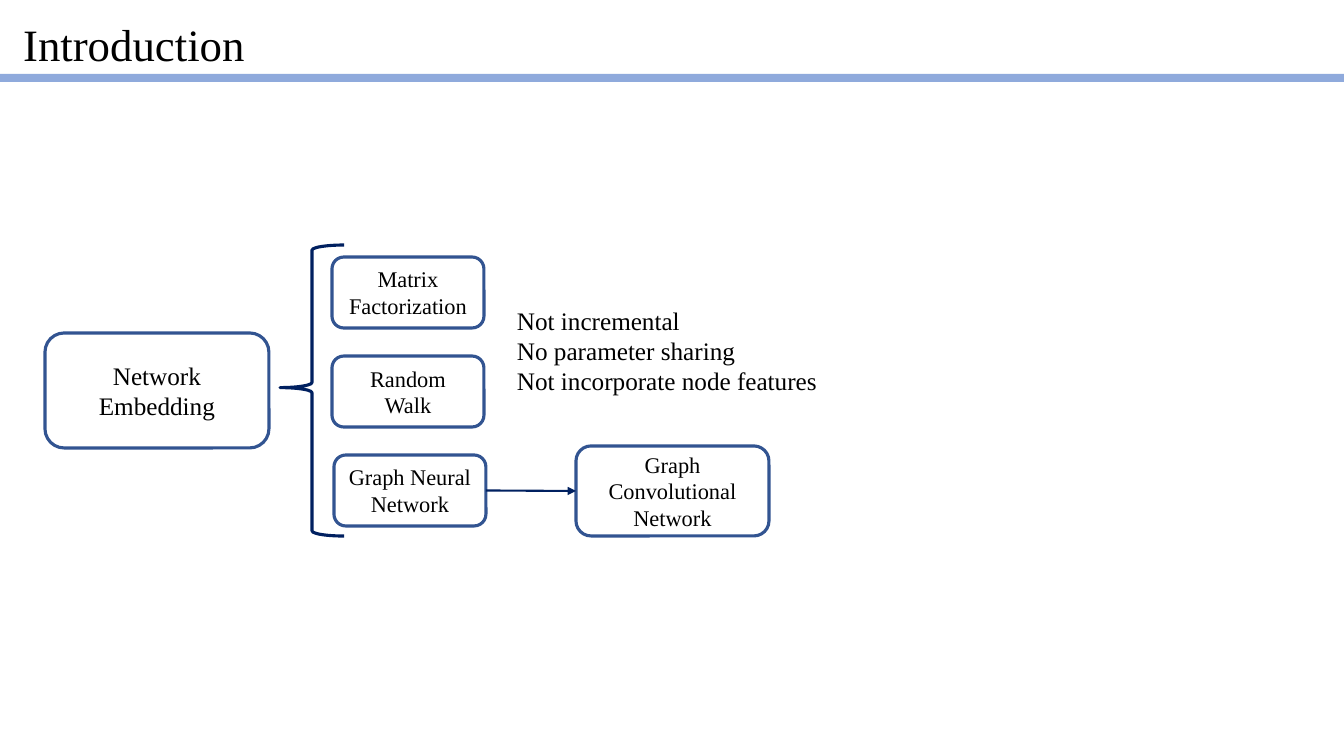
"""Build the Introduction slide: a tree of network embedding methods."""
from lxml import etree
from pptx import Presentation
from pptx.dml.color import RGBColor
from pptx.enum.shapes import MSO_CONNECTOR, MSO_SHAPE
from pptx.enum.text import MSO_ANCHOR, MSO_AUTO_SIZE, PP_ALIGN
from pptx.oxml.ns import qn
from pptx.util import Pt

PX = 914400 / 100.8
FONT = "Times New Roman"
COLORS = {"text": "000000", "rule": "8FAADC", "box": "325491", "link": "002060"}

TITLE = "Introduction"
ROOT = ("Network Embedding", 45, 333, 224, 115, 18)
METHODS = [("Matrix\vFactorization", 332), ("Random\vWalk", 332),
           ("Graph Neural Network", 334)]
METHOD_TOP, METHOD_STEP, METHOD_W, METHOD_H = 257, 99, 152, 71
CONVOLUTION = ("Graph Convolutional Network", 576, 446, 193, 90, 16)
DRAWBACKS = ["Not incremental", "No parameter sharing",
             "Not incorporate node features"]


def px(*values):
    return [round(v * PX) for v in values]


def rgb(name):
    return RGBColor.from_string(COLORS[name])


def style(p, size, align):
    p.alignment = align
    p.font.name = FONT
    p.font.size = Pt(size)
    p.font.color.rgb = rgb("text")


def set_line(line, name, width):
    line.color.rgb = rgb(name)
    line.width = Pt(width)


def add_outline(s, kind, box, name):
    sp = s.shapes.add_shape(kind, *px(*box))
    sp.shadow.inherit = False
    sp.fill.background()
    set_line(sp.line, name, 2.25)
    return sp


def add_node(s, text, x, y, w, h, size):
    sp = add_outline(s, MSO_SHAPE.ROUNDED_RECTANGLE, (x, y, w, h), "box")
    tf = sp.text_frame
    tf.word_wrap = True
    tf.vertical_anchor = MSO_ANCHOR.MIDDLE
    p = tf.paragraphs[0]
    p.text = text
    style(p, size, PP_ALIGN.CENTER)
    return sp


def add_arrow(s, start, end):
    line = s.shapes.add_connector(MSO_CONNECTOR.STRAIGHT, 0, 0, 0, 0)
    line.begin_connect(start, 3)
    line.end_connect(end, 1)
    set_line(line.line, "link", 1.5)
    etree.SubElement(line.line._get_or_add_ln(), qn("a:tailEnd"), type="triangle")
    etree.SubElement(line._element.spPr, qn("a:effectLst"))


def add_title(s):
    title = s.shapes.title
    title.left, title.top, title.width, title.height = px(13, 7, 1236, 67)
    tf = title.text_frame
    tf.text = TITLE
    tf.auto_size = MSO_AUTO_SIZE.NONE
    tf.vertical_anchor = MSO_ANCHOR.MIDDLE
    p = tf.paragraphs[0]
    p.line_spacing = 1.1
    style(p, 32, PP_ALIGN.JUSTIFY)

    rule = s.shapes.add_shape(MSO_SHAPE.RECTANGLE, *px(0, 74, 1344, 8))
    rule.shadow.inherit = False
    rule.fill.solid()
    rule.fill.fore_color.rgb = rgb("rule")
    rule.line.fill.background()


def add_drawbacks(s):
    tf = s.shapes.add_textbox(*px(507, 300, 323, 101)).text_frame
    tf.word_wrap = False
    tf.auto_size = MSO_AUTO_SIZE.SHAPE_TO_FIT_TEXT
    tf.text = "\n".join(DRAWBACKS)
    for p in tf.paragraphs:
        style(p, 18, PP_ALIGN.LEFT)


def main():
    prs = Presentation()
    prs.slide_width, prs.slide_height = px(1344, 756)
    s = prs.slides.add_slide(prs.slide_layouts[5])
    add_title(s)
    add_node(s, *ROOT)
    methods = [add_node(s, text, x, METHOD_TOP + i * METHOD_STEP,
                        METHOD_W, METHOD_H, 16)
               for i, (text, x) in enumerate(METHODS)]
    add_arrow(s, methods[-1], add_node(s, *CONVOLUTION))
    brace = add_outline(s, MSO_SHAPE.LEFT_BRACE, (280, 245, 64, 291), "link")
    brace.adjustments[0] = 0.08
    brace.adjustments[1] = 0.49
    add_drawbacks(s)
    prs.save("out.pptx")


if __name__ == "__main__":
    main()
